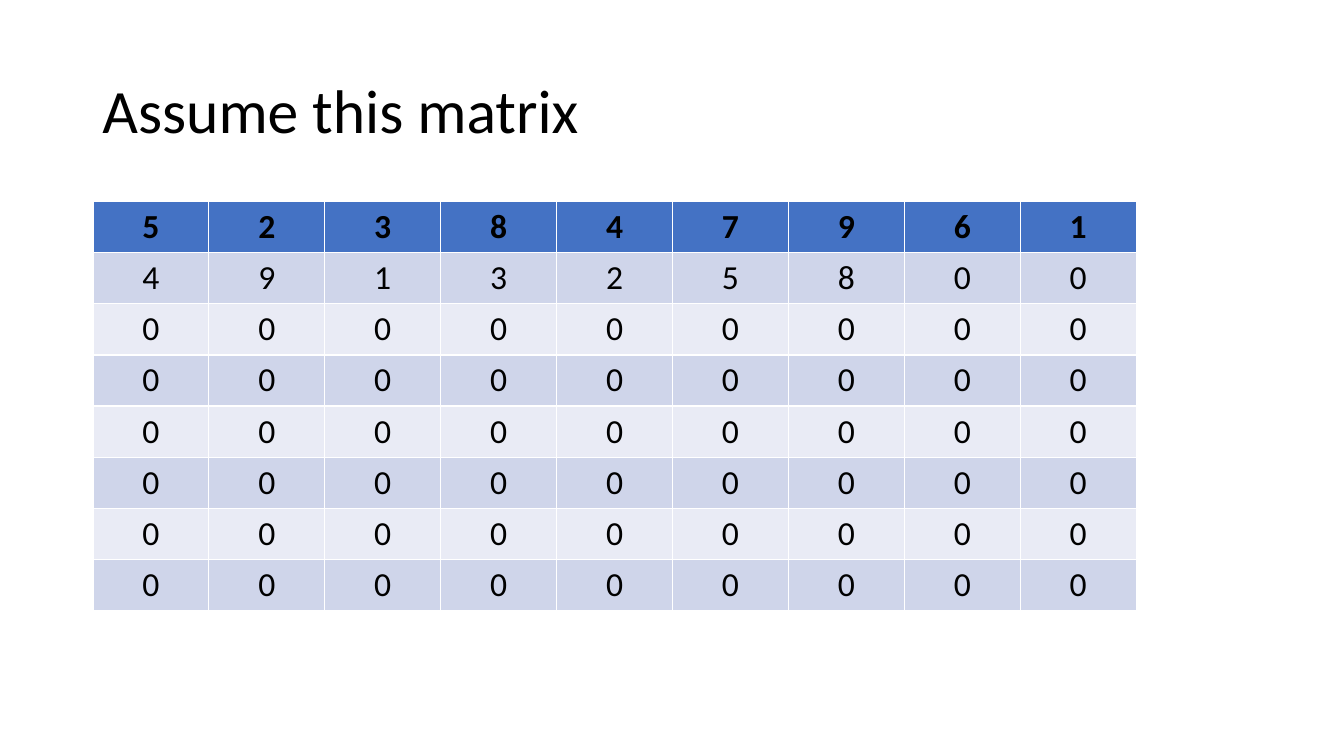
from pptx import Presentation
from pptx.dml.color import RGBColor
from pptx.enum.text import MSO_ANCHOR as Anchor, PP_ALIGN as Align
from pptx.util import Pt

COLS, ROWS = 9, 8
WIDE, HIGH = 82.8, 36
HEAD, BANDS = "4472C4", ("E9EBF5", "CFD5EA")
MATRIX = [
    [5, 2, 3, 8, 4, 7, 9, 6, 1],
    [4, 9, 1, 3, 2, 5, 8, 0, 0],
] + [[0] * COLS] * (ROWS - 2)


def color(code):
    return RGBColor.from_string(code)


def apply(item, values):
    for name, value in values.items():
        setattr(item, name, value)


def write(frame, text, size, align, bold=False):
    frame.text = text
    para = frame.paragraphs[0]
    para.alignment = align
    font = para.runs[0].font
    apply(font, {"name": "Calibri", "size": Pt(size), "bold": bold})
    font.color.rgb = color("000000")
    return para


def add_title(slide, text):
    title = slide.shapes.title
    apply(title, {"left": Pt(66), "top": Pt(28.75),
                  "width": Pt(828), "height": Pt(104.4)})
    title.text_frame.vertical_anchor = Anchor.MIDDLE
    write(title.text_frame, text, 44, Align.LEFT).line_spacing = 0.9


def add_matrix(slide, data):
    # The default table style supplies the white rules
    table = slide.shapes.add_table(ROWS, COLS, Pt(66.4), Pt(144),
                                   Pt(COLS * WIDE), Pt(ROWS * HIGH)).table
    for row, values in enumerate(data):
        head = row == 0
        for col, value in enumerate(values):
            cell = table.cell(row, col)
            cell.fill.solid()
            cell.fill.fore_color.rgb = color(HEAD if head else BANDS[row % 2])
            write(cell.text_frame, str(value), 24, Align.CENTER, head)


def main():
    deck = Presentation()
    apply(deck, {"slide_width": Pt(960), "slide_height": Pt(540)})
    # Title Only layout
    slide = deck.slides.add_slide(deck.slide_layouts[5])
    add_title(slide, "Assume this matrix")
    add_matrix(slide, MATRIX)
    deck.save("out.pptx")


if __name__ == "__main__":
    main()
